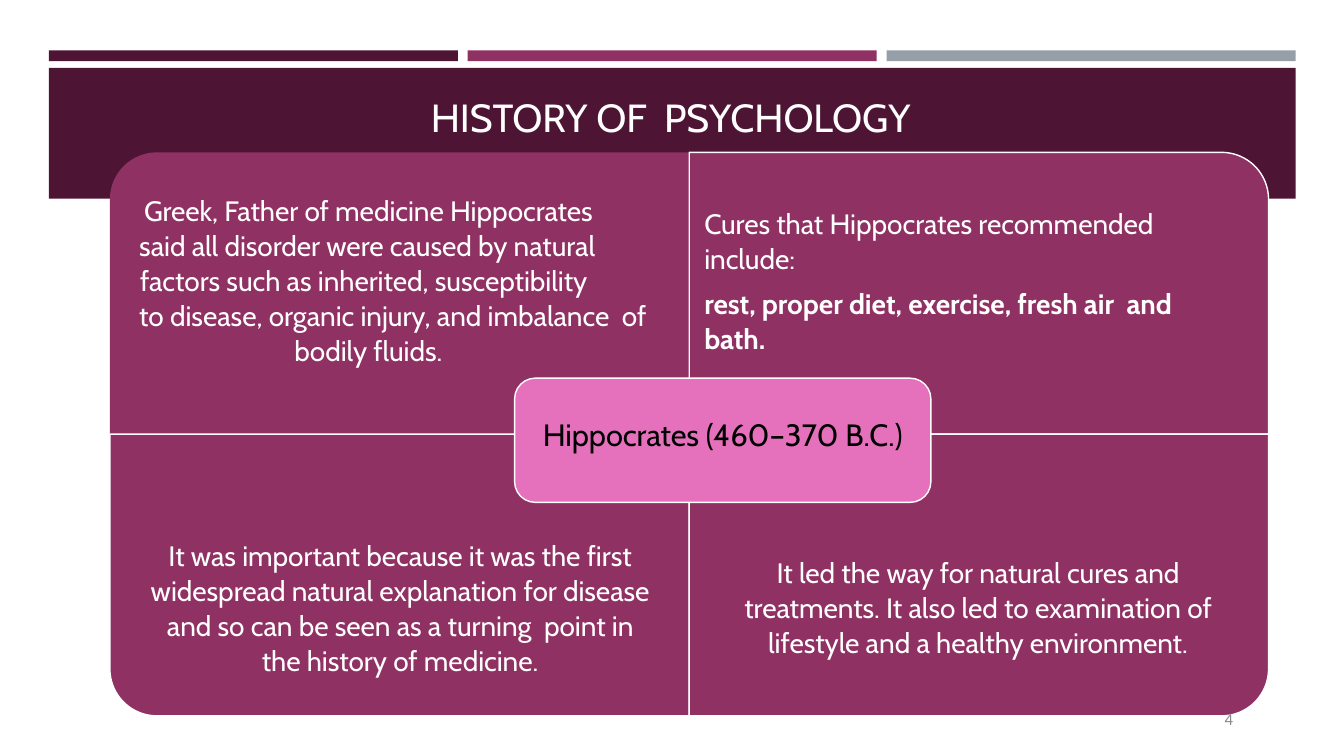
"""Build the slide on the history of psychology."""
from dataclasses import dataclass

import pptx
import pptx.dml.color
import pptx.enum.shapes
import pptx.enum.text
import pptx.util

Cm = pptx.util.Cm
Pt = pptx.util.Pt
SHAPE = pptx.enum.shapes.MSO_SHAPE
ALIGN = pptx.enum.text.PP_ALIGN
ANCHOR = pptx.enum.text.MSO_ANCHOR


@dataclass(frozen=True)
class Theme:
    """Colours, fonts and type sizes of the slide."""
    dark: str = "4D1434"
    plum: str = "903163"
    grey: str = "969FA7"
    pink: str = "E571BC"
    white: str = "FFFFFF"
    black: str = "000000"
    faint: str = "878787"
    font: str = "Cabin"
    number_font: str = "Calibri"
    title: int = 28
    center: int = 22
    body: int = 20
    number: int = 12
    leading: float = 25


THEME = Theme()


def rgb(color):
    """Turn a hex string into a colour."""
    return pptx.dml.color.RGBColor.from_string(color)


def add_block(s, kind, box, fill, outlined=False):
    """Add a filled shape, with a thin white outline if asked."""
    sp = s.shapes.add_shape(kind, *map(Cm, box))
    sp.shadow.inherit = False
    sp.fill.solid()
    sp.fill.fore_color.rgb = rgb(fill)
    if outlined:
        sp.line.color.rgb = rgb(THEME.white)
        sp.line.width = Pt(1)
    else:
        sp.line.fill.background()
    return sp


def prepare(tf, anchor=ANCHOR.TOP):
    """Clear the insets of a text frame and make it wrap."""
    tf.word_wrap = True
    tf.auto_size = pptx.enum.text.MSO_AUTO_SIZE.NONE
    tf.vertical_anchor = anchor
    tf.margin_left = tf.margin_right = tf.margin_top = tf.margin_bottom = 0


def add_run(p, text, size, color, font=THEME.font, bold=False):
    """Add one formatted run to a paragraph."""
    r = p.add_run()
    r.text = text
    r.font.name = font
    r.font.size = Pt(size)
    r.font.bold = bold
    r.font.color.rgb = rgb(color)
    r.font._element.set("spc", "-6")


def add_text(s, box, paragraphs, align):
    """Add a body text box; each paragraph is (lines, left, hang, before, bold)."""
    tf = s.shapes.add_textbox(*map(Cm, box)).text_frame
    prepare(tf)
    for i, (lines, left, hang, before, bold) in enumerate(paragraphs):
        p = tf.add_paragraph() if i else tf.paragraphs[0]
        p.alignment = align
        p.line_spacing = Pt(THEME.leading)
        p.space_before = Pt(before)
        pPr = p._p.get_or_add_pPr()
        pPr.set("marL", str(Cm(left)))
        pPr.set("indent", str(Cm(-hang)))
        for j, line in enumerate(lines):
            if j:
                p.add_line_break()
            add_run(p, line, THEME.body, THEME.white, bold=bold)


def build_header(s, box):
    """Draw the three bars, the title band and the title."""
    x, y, w, h = box
    gap = 0.25
    bar = (w - 2 * gap) / 3
    for i, color in enumerate((THEME.dark, THEME.plum, THEME.grey)):
        add_block(s, SHAPE.RECTANGLE, (x + i * (bar + gap), y, bar, 0.27), color)
    add_block(s, SHAPE.RECTANGLE, (x, y + 0.44, w, h - 0.44), THEME.dark)
    title = s.shapes.title
    title.left, title.top = Cm(x + 7.48), Cm(y + 1.02)
    title.width, title.height = Cm(16.38), Cm(1.24)
    s.shapes._spTree.append(title._element)
    prepare(title.text_frame, ANCHOR.BOTTOM)
    p = title.text_frame.paragraphs[0]
    p.alignment = ALIGN.CENTER
    add_run(p, "HISTORY OF  PSYCHOLOGY", THEME.title, THEME.white)


def build_matrix(s, box):
    """Draw the four quadrants with their text and the label over their centre."""
    x, y, w, h = box
    w, h = w / 2, h / 2
    quadrants = (
        (0, 0, (0.71, 0.99, 13.23, 4.45), ALIGN.LEFT, (
            (["Greek, Father of medicine Hippocrates"], 0.15, 0, 0, False),
            (["said all disorder were caused by natural"], 0.03, 0, 0, False),
            (["factors such as inherited, susceptibility"], 0.05, 0, 0, False),
            (["to disease, organic injury, and imbalance  of", "bodily fluids."],
             3.94, 3.91, 0, False))),
        (1, 0, (0.38, 1.32, 13.2, 3.9), ALIGN.LEFT, (
            (["Cures that Hippocrates recommended", "include:"], 0, 0, 0, False),
            (["rest, proper diet, exercise, fresh air  and", "bath."], 0, 0, 7.6, True))),
        (0, 1, (0.71, 2.6, 13.2, 3.6), ALIGN.CENTER, (
            (["It was important because it was the first"], 0, 0, 0, False),
            (["widespread natural explanation for disease",
              "and so can be seen as a turning  point in",
              "the history of medicine."], 0, 0, 0, False))),
        (1, 1, (0.8, 3.03, 12.95, 2.7), ALIGN.CENTER, (
            (["It led the way for natural cures and",
              "treatments. It also led to examination of",
              "lifestyle and a healthy environment."], 0, 0, 0, False),)),
    )
    for col, row, (dx, dy, tw, th), align, paragraphs in quadrants:
        left, top = x + col * w, y + row * h
        sp = add_block(s, SHAPE.ROUND_1_RECTANGLE,
                       (left, top, w, h), THEME.plum, outlined=col + row > 0)
        xfrm = sp._element.spPr.xfrm
        if col == 0:
            xfrm.set("flipH", "1")
        if row == 1:
            xfrm.set("flipV", "1")
        add_text(s, (left + dx, top + dy, tw, th), paragraphs, align)
    build_center(s, (x + w - 4.4, y + h - 1.41, 10.49, 3.13))


def build_center(s, box):
    """Draw the pink label naming Hippocrates."""
    sp = add_block(s, SHAPE.ROUNDED_RECTANGLE, box, THEME.pink, outlined=True)
    tf = sp.text_frame
    prepare(tf, ANCHOR.MIDDLE)
    tf.margin_bottom = Cm(0.3)
    p = tf.paragraphs[0]
    p.alignment = ALIGN.CENTER
    add_run(p, "Hippocrates (460–370 B.C.)", THEME.center, THEME.black)


def build_number(s, box):
    """Write the slide number."""
    tf = s.shapes.add_textbox(*map(Cm, box)).text_frame
    prepare(tf)
    p = tf.paragraphs[0]
    p.line_spacing = Pt(12.4)
    add_run(p, "4", THEME.number, THEME.faint, THEME.number_font)


def main():
    """Build and save the presentation."""
    prs = pptx.Presentation()
    prs.slide_width, prs.slide_height = Cm(33.87), Cm(19.05)
    s = prs.slides.add_slide(prs.slide_layouts[5])
    build_header(s, (1.23, 1.27, 31.42, 3.74))
    build_matrix(s, (2.77, 3.84, 29.2, 14.2))
    build_number(s, (30.86, 17.93, 0.43, 0.48))
    prs.save("out.pptx")


if __name__ == "__main__":
    main()
